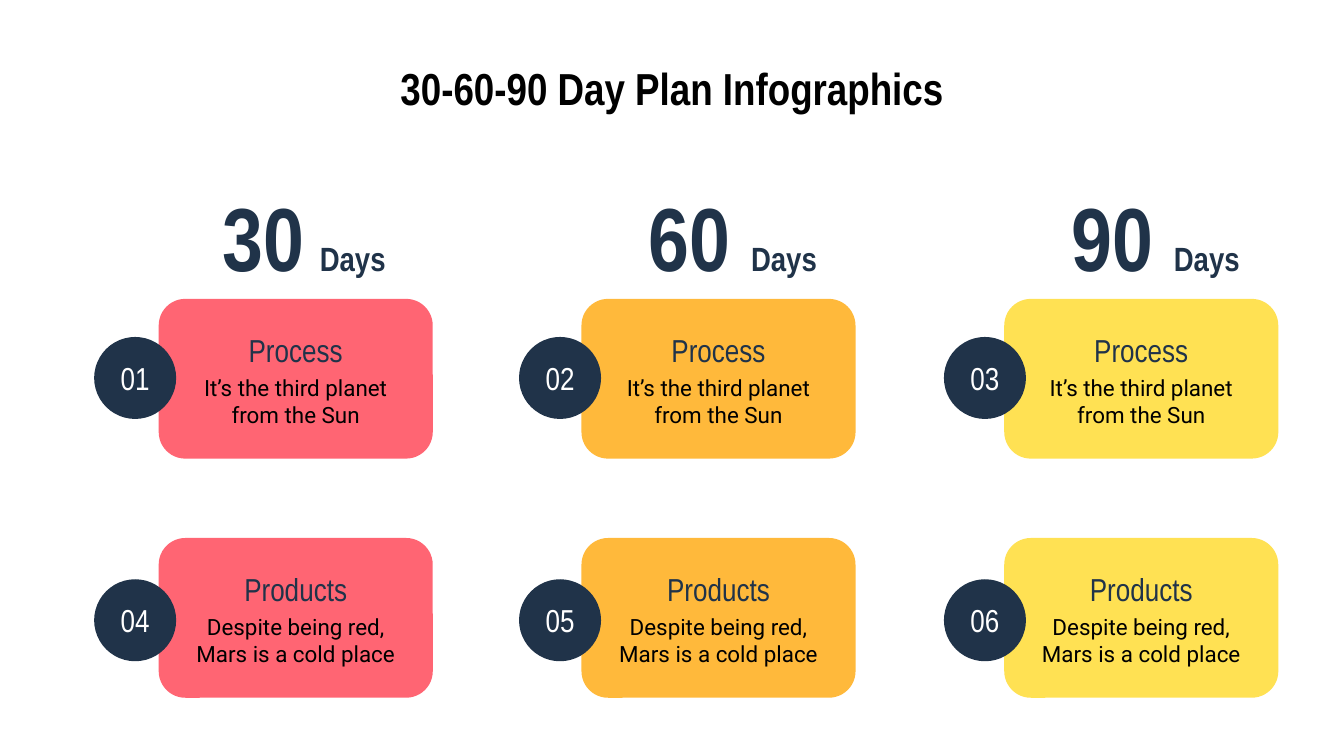
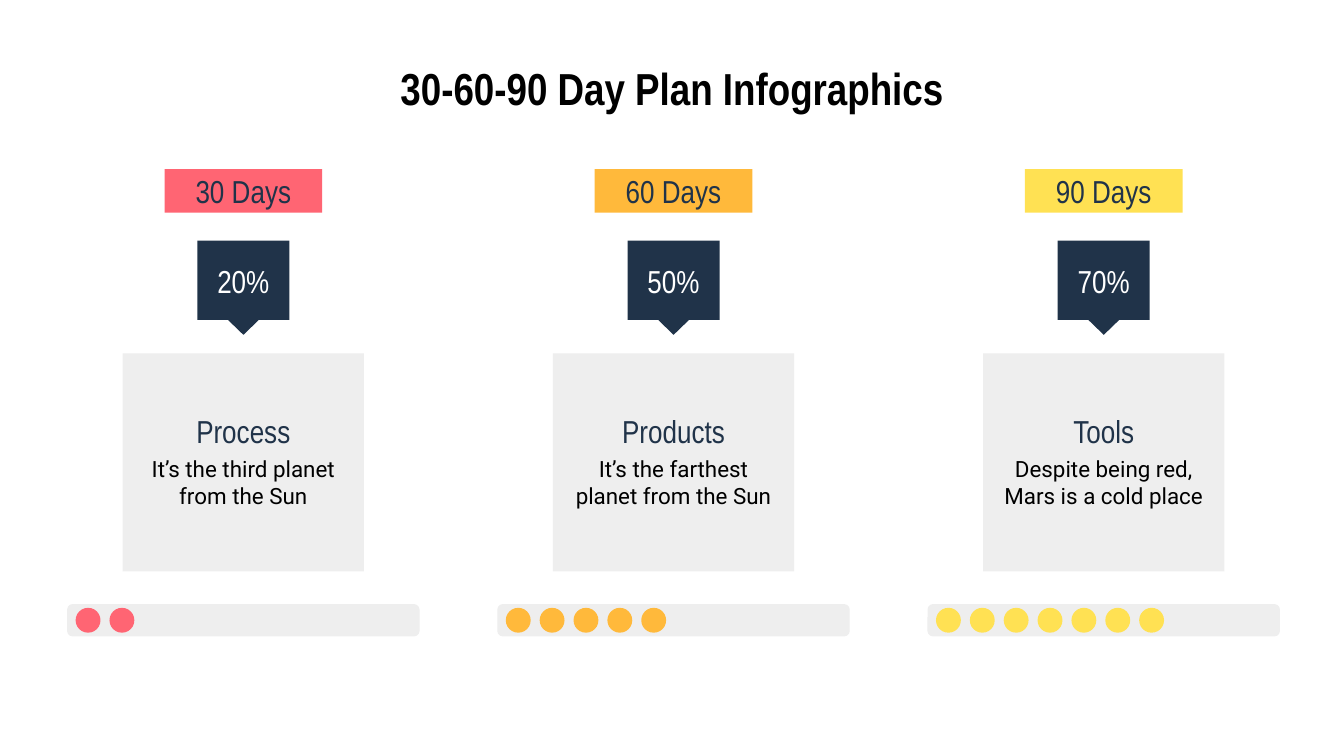
import copy
from dataclasses import dataclass

import pptx
import pptx.dml.color
import pptx.enum.shapes
import pptx.enum.text
import pptx.oxml.ns
import pptx.util

Cm = pptx.util.Cm
SHAPE = pptx.enum.shapes.MSO_SHAPE
ALIGN = pptx.enum.text.PP_ALIGN
MIDDLE = pptx.enum.text.MSO_ANCHOR.MIDDLE


@dataclass(frozen=True)
class Theme:
    navy: str = "203349"
    black: str = "000000"
    white: str = "FFFFFF"
    grey: str = "EEEEEE"
    accents: tuple = ("FF6573", "FFB93B", "FFE153")
    heading_font: str = "Arial Narrow"
    body_font: str = "Roboto"
    title_size: int = 24
    number_size: int = 48
    days_size: int = 18
    heading_size: int = 17
    body_size: int = 12
    inset: float = 0.25


T = Theme()
TITLE = "30-60-90 Day Plan Infographics"
HEADING = dict(name=T.heading_font, size=T.heading_size, color=T.navy)
HEADING_ON_DARK = {**HEADING, "color": T.white}
BODY = dict(name=T.body_font, size=T.body_size, color=T.black)
TITLE_STYLE = dict(name=T.heading_font, size=T.title_size, color=T.black, bold=True)
NUMBER = dict(name=T.heading_font, size=T.number_size, color=T.navy, bold=True)

SUN = "It’s the third planet from the Sun"
FARTHEST = "It’s the farthest planet from the Sun"
MARS = "Despite being red,\nMars is a cold place"


def rgb(color):
    return pptx.dml.color.RGBColor.from_string(color)


def style_run(r, style):
    values = {**style, "size": pptx.util.Pt(style["size"])}
    r.font.color.rgb = rgb(values.pop("color"))
    for name, value in values.items():
        setattr(r.font, name, value)


def prepare_frame(tf):
    values = dict.fromkeys(
        ("margin_left", "margin_top", "margin_right", "margin_bottom"), Cm(T.inset))
    values.update(word_wrap=True, vertical_anchor=MIDDLE,
                  auto_size=pptx.enum.text.MSO_AUTO_SIZE.NONE)
    for name, value in values.items():
        setattr(tf, name, value)


def write(sp, text, style):
    """Fill a shape with one centred paragraph; line breaks keep its type size."""
    tf = sp.text_frame
    prepare_frame(tf)
    p = tf.paragraphs[0]
    p.text = text
    p.alignment = ALIGN.CENTER
    for r in p.runs:
        style_run(r, style)
    for br in p._p.findall(pptx.oxml.ns.qn("a:br")):
        br.insert(0, copy.deepcopy(p.runs[0]._r.rPr))


def add_box(shapes, kind, box, color, text="", style=HEADING):
    sp = shapes.add_shape(kind, *map(Cm, box))
    sp.shadow.inherit = False
    sp.fill.solid()
    sp.fill.fore_color.rgb = rgb(color)
    sp.line.fill.background()
    if text:
        write(sp, text, style)
    return sp


def add_text(shapes, box, text, style):
    write(shapes.add_textbox(*map(Cm, box)), text, style)


def add_caption(s, center, y, heading, text):
    """Heading with a short text below it, both centred on one axis."""
    add_text(s.shapes, (center - 2.4, y, 4.8, 1.19), heading, HEADING)
    add_text(s.shapes, (center - 2.22, y + 0.83, 4.44, 1.47), text, BODY)


def add_titled_slide(prs):
    s = prs.slides.add_slide(prs.slide_layouts[5])
    title = s.shapes.title
    for name, value in dict(left=0.5, top=0.86, width=24.4, height=1.6).items():
        setattr(title, name, Cm(value))
    write(title, TITLE, TITLE_STYLE)
    return s


def add_day_label(s, box, number, gap_size):
    tf = s.shapes.add_textbox(*map(Cm, box)).text_frame
    prepare_frame(tf)
    p = tf.paragraphs[0]
    p.alignment = ALIGN.RIGHT
    for text, size in ((number, T.number_size), (" ", gap_size), ("Days", T.days_size)):
        r = p.add_run()
        r.text = text
        style_run(r, {**NUMBER, "size": size})


def add_card(s, box, color, heading, text):
    x, y, w, h = box
    add_box(s.shapes, SHAPE.ROUNDED_RECTANGLE, box, color)
    add_caption(s, x + w / 2, y + 0.37, heading, text)


def build_card_slide(prs):
    s = add_titled_slide(prs)
    left, top, col_step, row_step = 3.0, 5.65, 7.99, 4.52
    labels = (("30", 36, 0.3), ("60", 48, 0.46), ("90", 48, 0.46))
    rows = (("Process", SUN), ("Products", MARS))
    for col, (number, gap_size, indent) in enumerate(labels):
        x = left + col * col_step
        add_day_label(s, (x + indent, top - 2.14, 4.24, 1.88), number, gap_size)
        for row, (heading, text) in enumerate(rows):
            box = (x, top + row * row_step, 5.18, 3.02)
            add_card(s, box, T.accents[col], heading, text)
    for i in range(len(rows) * len(labels)):
        row, col = divmod(i, len(labels))
        badge = (1.78 + col * 8.03, 6.37 + row * 4.58, 1.55, 1.55)
        add_box(s.shapes, SHAPE.OVAL, badge, T.navy, f"{i + 1:02}", HEADING_ON_DARK)


def add_percent_badge(s, center, y, percent):
    shapes = s.shapes.add_group_shape().shapes
    add_box(shapes, SHAPE.RECTANGLE, (center - 0.87, y, 1.74, 1.5), T.navy,
            f"{percent}%", HEADING_ON_DARK)
    pointer = add_box(shapes, SHAPE.PENTAGON, (center - 0.3, y + 1.17, 0.6, 0.62), T.navy)
    pointer.rotation = 90


def add_dot_bar(s, box, percent, color):
    """Progress bar with one dot for every ten percent."""
    x, y, w, h = box
    size, step = 0.47, 0.64
    shapes = s.shapes.add_group_shape().shapes
    add_box(shapes, SHAPE.ROUNDED_RECTANGLE, box, T.grey)
    for i in range(percent // 10):
        dot = (x + 0.16 + i * step, y + (h - size) / 2, size, size)
        add_box(shapes, SHAPE.OVAL, dot, color)


def add_progress_column(s, box, days, percent, heading, text, color):
    x, y, w, h = box
    center = x + w / 2
    add_percent_badge(s, center, y + 1.35, percent)
    add_box(s.shapes, SHAPE.RECTANGLE, (center - 2.28, y + 3.48, 4.56, 4.12), T.grey)
    add_caption(s, center, y + 4.34, heading, text)
    add_dot_bar(s, (x, y + h - 0.61, w, 0.61), percent, color)
    add_box(s.shapes, SHAPE.RECTANGLE, (center - 1.49, y, 2.98, 0.82), color, f"{days} Days")


def build_progress_slide(prs):
    s = add_titled_slide(prs)
    columns = ((30, 20, "Process", SUN), (60, 50, "Products", FARTHEST),
               (90, 70, "Tools", MARS))
    for i, column in enumerate(columns):
        box = (1.27 + i * 8.13, 3.2, 6.66, 8.83)
        add_progress_column(s, box, *column, T.accents[i])


def main():
    prs = pptx.Presentation()
    prs.slide_width, prs.slide_height = Cm(25.4), Cm(14.29)
    build_card_slide(prs)
    build_progress_slide(prs)
    prs.save("out.pptx")


if __name__ == "__main__":
    main()
